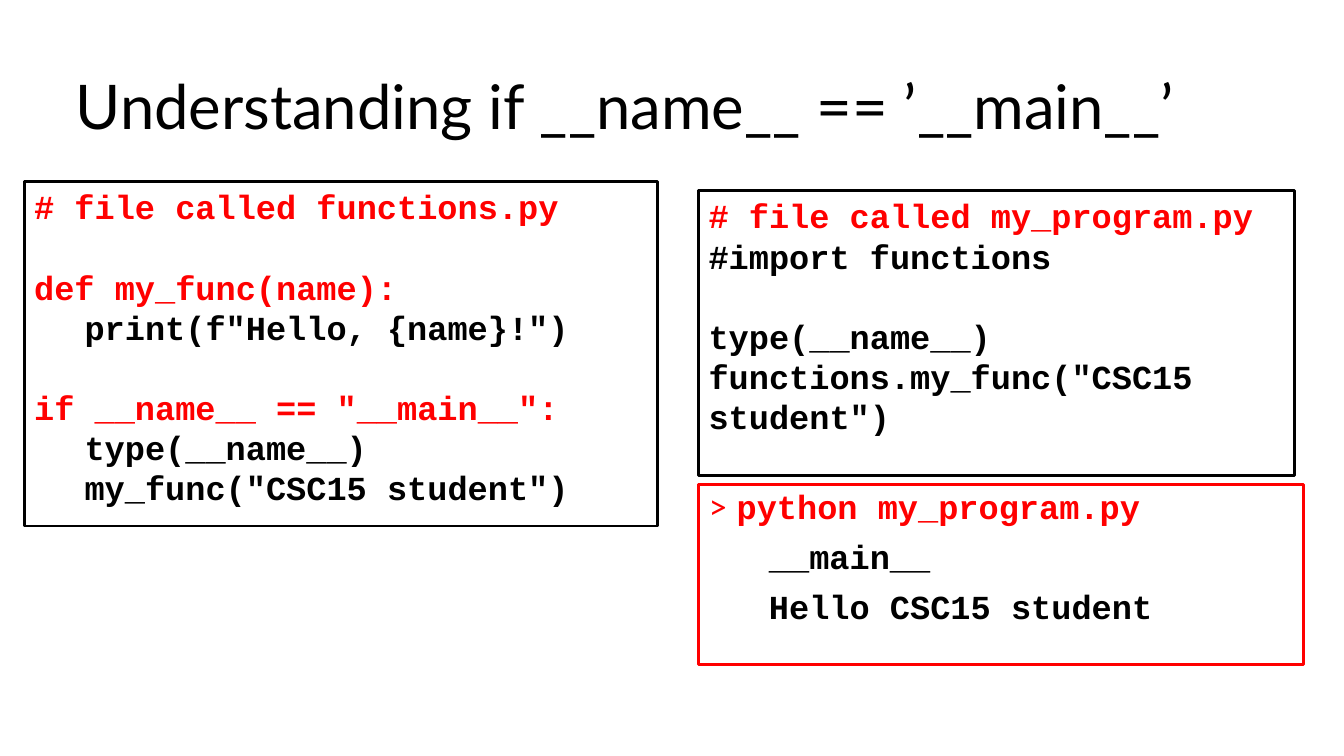
from dataclasses import dataclass

from pptx import Presentation
from pptx.dml.color import RGBColor
from pptx.enum.shapes import MSO_SHAPE as Shape
from pptx.enum.text import MSO_ANCHOR as Anchor, PP_ALIGN as Align
from pptx.slide import Slide
from pptx.util import Pt

BLACK = RGBColor(0, 0, 0)
RED = RGBColor(255, 0, 0)
WHITE = RGBColor(255, 255, 255)
SANS = "Lato"
MONO = "Courier New"
SIZE = 24
PITCH = 28.7  # height of one code line


@dataclass
class Line:
    text: str
    color: RGBColor = BLACK
    gap: float = 0
    prompt: str = ""


@dataclass
class Panel:
    left: float
    top: float
    width: float
    height: float
    edge: RGBColor
    lines: list[Line]
    pitch: float = PITCH


PANELS = [
    Panel(499, 346.3, 432, 128.2, RED, [
        Line("python my_program.py", RED, prompt="> "),
        Line("   __main__", gap=10),
        Line("   Hello CSC15 student", gap=10),
    ], pitch=0.9 * PITCH),
    Panel(17.3, 129.6, 452.2, 246.2, BLACK, [
        Line("# file called functions.py", RED),
        Line("def my_func(name):", RED, PITCH),
        Line("\tprint(f\"Hello, {name}!\")"),
        Line("if __name__ == \"__main__\":", RED, PITCH),
        Line("\ttype(__name__)"),
        Line("\tmy_func(\"CSC15 student\")"),
    ]),
    Panel(499, 136.1, 425.5, 203.8, BLACK, [
        Line("# file called my_program.py", RED),
        Line("#import functions"),
        Line("type(__name__)", gap=PITCH),
        Line("functions.my_func(\"CSC15 student\")"),
    ]),
]


def style(font, name: str, size: float, color: RGBColor, bold: bool) -> None:
    font.name = name
    font.size = Pt(size)
    font.bold = bold
    font.color.rgb = color


def add_title(slide: Slide, text: str) -> None:
    title = slide.shapes.title
    title.left, title.top = Pt(46.8), Pt(25.9)
    title.width, title.height = Pt(828), Pt(104.4)
    frame = title.text_frame
    frame.text = text
    frame.word_wrap = True
    frame.vertical_anchor = Anchor.MIDDLE
    para = frame.paragraphs[0]
    para.alignment = Align.LEFT
    para.line_spacing = 0.9
    style(para.runs[0].font, SANS, 44, BLACK, False)


def add_panel(slide: Slide, panel: Panel) -> None:
    box = slide.shapes.add_shape(
        Shape.RECTANGLE, Pt(panel.left), Pt(panel.top),
        Pt(panel.width), Pt(panel.height))
    box.shadow.inherit = False
    box.fill.background()
    box.line.color.rgb = panel.edge
    box.line.width = Pt(2)
    frame = box.text_frame
    frame.word_wrap = True
    frame.vertical_anchor = Anchor.TOP
    for i, line in enumerate(panel.lines):
        para = frame.add_paragraph() if i else frame.paragraphs[0]
        para.alignment = Align.LEFT
        para.line_spacing = Pt(panel.pitch)
        if i:
            para.space_before = Pt(line.gap)
        if line.prompt:
            mark = para.add_run()
            mark.text = line.prompt
            style(mark.font, SANS, SIZE, line.color, False)
        code = para.add_run()
        code.text = line.text
        style(code.font, MONO, SIZE, line.color, True)


def main() -> None:
    deck = Presentation()
    deck.slide_width, deck.slide_height = Pt(960), Pt(540)
    slide = deck.slides.add_slide(deck.slide_layouts[5])
    slide.background.fill.solid()
    slide.background.fill.fore_color.rgb = WHITE
    add_title(slide, "Understanding if __name__ == ’__main__’")
    for panel in PANELS:
        add_panel(slide, panel)
    deck.save("out.pptx")


if __name__ == "__main__":
    main()
